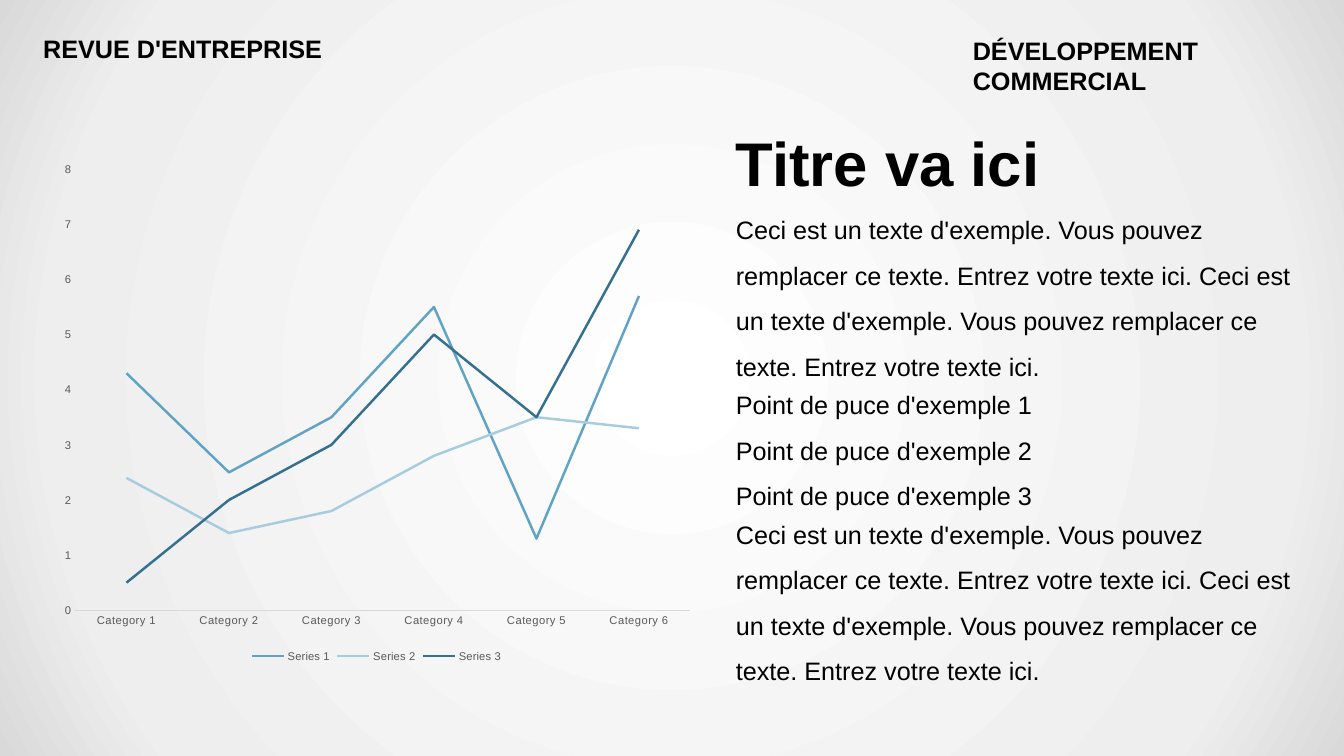
from pptx import Presentation
from pptx.chart.data import CategoryChartData
from pptx.dml.color import RGBColor
from pptx.enum.chart import XL_CHART_TYPE, XL_LEGEND_POSITION, XL_TICK_MARK
from pptx.enum.text import MSO_ANCHOR, MSO_AUTO_SIZE
from pptx.oxml import parse_xml
from pptx.oxml.ns import nsdecls
from pptx.util import Inches, Pt

BLACK = RGBColor(0x00, 0x00, 0x00)
GREY = RGBColor(0x59, 0x59, 0x59)
AXIS_GREY = RGBColor(0xD9, 0xD9, 0xD9)
MID_BLUE = RGBColor(0x60, 0xA3, 0xC5)
PALE_BLUE = RGBColor(0xA7, 0xCC, 0xDF)
DARK_BLUE = RGBColor(0x34, 0x70, 0x8F)
WHITE = RGBColor(0xFF, 0xFF, 0xFF)
LIGHT_GREY = RGBColor(0xEE, 0xEE, 0xEE)

BACKGROUND_STOPS = [(0, WHITE), (81, LIGHT_GREY), (100, AXIS_GREY)]
SERIES = [
    ("Series 1", MID_BLUE, (4.3, 2.5, 3.5, 5.5, 1.3, 5.7)),
    ("Series 2", PALE_BLUE, (2.4, 1.4, 1.8, 2.8, 3.5, 3.3)),
    ("Series 3", DARK_BLUE, (0.5, 2, 3, 5, 3.5, 6.9)),
]
PLOT_AREA = {"x": 0.038, "y": 0.031, "w": 0.943, "h": 0.86}
SAMPLE = " ".join(
    ["Ceci est un texte d'exemple. Vous pouvez remplacer ce texte. Entrez votre texte ici."] * 2
)
BULLETS = [f"Point de puce d'exemple {number}" for number in range(1, 4)]

HEADING = {"size": Pt(18), "bold": True}
TITLE = {"size": Pt(44), "bold": True}
BODY = {"size": Pt(18)}
CHART_TEXT = {"size": Pt(8), "name": "Arial"}


def set_font(font, formats, color):
    for name, value in formats.items():
        setattr(font, name, value)
    font.color.rgb = color


def set_background(page):
    stops = "".join(
        f'<a:gs pos="{position * 1000}"><a:srgbClr val="{color}"/></a:gs>'
        for position, color in BACKGROUND_STOPS
    )
    background = parse_xml(
        f'<p:bg {nsdecls("p", "a")}><p:bgPr><a:gradFill rotWithShape="1">'
        f'<a:gsLst>{stops}</a:gsLst><a:path path="circle">'
        '<a:fillToRect l="50000" t="50000" r="50000" b="50000"/></a:path>'
        '</a:gradFill><a:effectLst/></p:bgPr></p:bg>'
    )
    page.element.cSld.insert(0, background)


def add_text(page, place, lines, formats, body=False):
    box = page.shapes.add_textbox(*map(Inches, place))
    frame = box.text_frame
    frame.word_wrap = True
    para = frame.paragraphs[0]
    if body:
        frame.vertical_anchor = MSO_ANCHOR.MIDDLE
        para.line_spacing = 1.5
    else:
        frame.auto_size = MSO_AUTO_SIZE.SHAPE_TO_FIT_TEXT
    for index, line in enumerate(lines):
        if index:
            para.add_line_break()
        span = para.add_run()
        span.text = line
        set_font(span.font, {"name": "Arial", **formats}, BLACK)


def style_axis(axis):
    axis.has_major_gridlines = False
    axis.major_tick_mark = XL_TICK_MARK.NONE
    axis.minor_tick_mark = XL_TICK_MARK.NONE
    set_font(axis.tick_labels.font, CHART_TEXT, GREY)


def set_plot_area(chart):
    plot_area = chart.plots[0]._element.getparent()
    for layout in plot_area.findall("{*}layout"):
        plot_area.remove(layout)
    sizes = "".join(f'<c:{name} val="{value}"/>' for name, value in PLOT_AREA.items())
    plot_area.insert(0, parse_xml(
        f'<c:layout {nsdecls("c")}><c:manualLayout><c:layoutTarget val="inner"/>'
        f'<c:xMode val="edge"/><c:yMode val="edge"/>{sizes}</c:manualLayout></c:layout>'
    ))


def add_line_chart(page, place):
    data = CategoryChartData()
    data.categories = [f"Category {number}" for number in range(1, 7)]
    for name, _, values in SERIES:
        data.add_series(name, values)
    chart = page.shapes.add_chart(XL_CHART_TYPE.LINE, *map(Inches, place), data).chart
    set_font(chart.font, CHART_TEXT, BLACK)
    chart.has_title = False
    chart.has_legend = True
    chart.legend.position = XL_LEGEND_POSITION.BOTTOM
    chart.legend.include_in_layout = False
    set_font(chart.legend.font, CHART_TEXT, GREY)
    chart.plots[0].vary_by_categories = False
    for series, (_, color, _) in zip(chart.plots[0].series, SERIES):
        series.smooth = False
        series.format.line.color.rgb = color
        series.format.line.width = Pt(1.75)
    categories, values = chart.category_axis, chart.value_axis
    style_axis(categories)
    style_axis(values)
    categories.format.line.color.rgb = AXIS_GREY
    categories.format.line.width = Pt(0.75)
    for properties in categories._element.iter("{*}defRPr"):
        properties.set("spc", "20")
    values.format.line.fill.background()
    values.minimum_scale, values.maximum_scale, values.major_unit = 0, 8, 1
    set_plot_area(chart)


def main():
    deck = Presentation()
    deck.slide_width, deck.slide_height = Inches(13.33), Inches(7.5)
    page = deck.slides.add_slide(deck.slide_layouts[6])
    set_background(page)
    add_line_chart(page, (0.5, 1.52, 6.47, 5.09))
    add_text(page, (7.2, 1.19, 5.94, 0.84), ["Titre va ici"], TITLE)
    add_text(page, (7.2, 2.22, 5.7, 1.32), [SAMPLE], BODY, body=True)
    add_text(page, (7.2, 5.24, 5.8, 1.32), [SAMPLE], BODY, body=True)
    add_text(page, (7.2, 3.73, 6.43, 1.32), BULLETS, BODY, body=True)
    add_text(page, (0.33, 0.28, 3.54, 0.4), ["REVUE D'ENTREPRISE"], HEADING)
    add_text(page, (9.55, 0.3, 3.54, 0.4), ["DÉVELOPPEMENT COMMERCIAL"], HEADING)
    deck.save("out.pptx")


if __name__ == "__main__":
    main()
